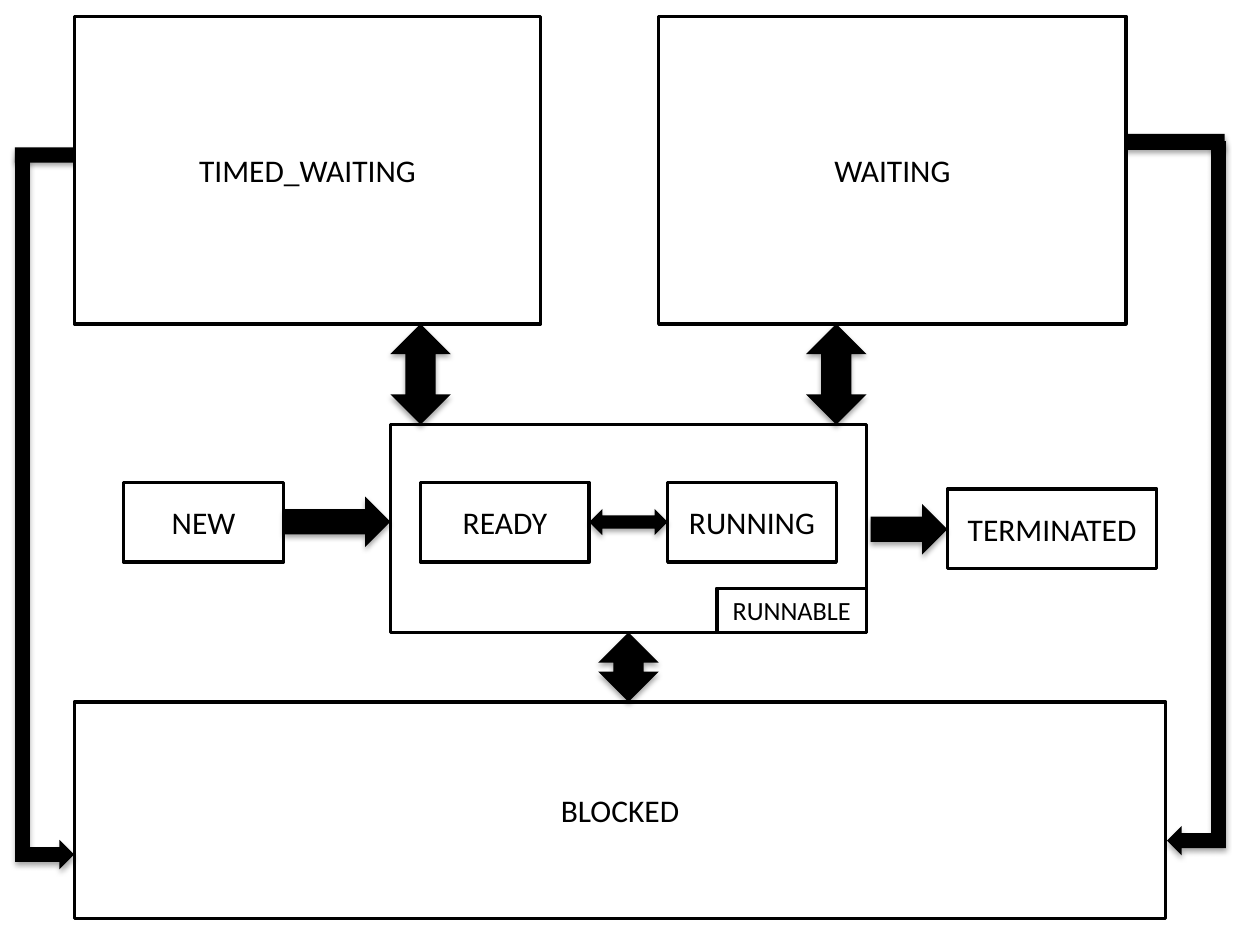
from dataclasses import dataclass

from lxml.etree import SubElement
from pptx import Presentation
from pptx.dml.color import RGBColor
from pptx.enum.shapes import MSO_SHAPE as Preset
from pptx.enum.text import MSO_ANCHOR as Anchor, PP_ALIGN as Align
from pptx.oxml.ns import qn
from pptx.util import Cm, Pt


@dataclass(frozen=True)
class Theme:
    """Colours, font and sizes of the slide."""
    ink: RGBColor = RGBColor(0, 0, 0)
    paper: RGBColor = RGBColor(255, 255, 255)
    font: str = "Calibri"
    state_size: int = 18
    label_size: int = 15
    outline: int = 2


theme = Theme()
presentation = Presentation()
presentation.slide_width, presentation.slide_height = Cm(25.4), Cm(19.05)
slide = presentation.slides.add_slide(presentation.slide_layouts[6])


def add_box(text, left, top, width, height, size=theme.state_size):
    """Add an outlined state box with centred text."""
    shape = slide.shapes.add_shape(
        Preset.RECTANGLE, Cm(left), Cm(top), Cm(width), Cm(height))
    shape.shadow.inherit = False
    shape.fill.solid()
    shape.fill.fore_color.rgb = theme.paper
    shape.line.color.rgb = theme.ink
    shape.line.width = Pt(theme.outline)
    if text:
        frame = shape.text_frame
        frame.text = text
        frame.vertical_anchor = Anchor.MIDDLE
        frame.margin_left = frame.margin_right = 0
        paragraph = frame.paragraphs[0]
        paragraph.alignment = Align.CENTER
        font = paragraph.runs[0].font
        font.name, font.size = theme.font, Pt(size)
        font.color.rgb = theme.ink


def add_arrow(preset, left, top, width, height, rotation=0, flip=False):
    """Add a solid block arrow with a soft shadow below it."""
    shape = slide.shapes.add_shape(
        preset, Cm(left), Cm(top), Cm(width), Cm(height))
    shape.rotation = rotation
    shape.fill.solid()
    shape.fill.fore_color.rgb = theme.ink
    shape.line.fill.background()
    shape.shadow.inherit = False
    properties = shape.element.spPr
    if flip:
        properties.find(qn("a:xfrm")).set("flipH", "1")
    shadow = SubElement(
        properties.find(qn("a:effectLst")), qn("a:outerShdw"),
        blurRad=str(Pt(3.1)), dist=str(Pt(1.8)), dir="5400000",
        rotWithShape="0")
    colour = SubElement(shadow, qn("a:srgbClr"), val=str(theme.ink))
    SubElement(colour, qn("a:alpha"), val="35000")


# Shared edges, in centimetres
margin = 1.5
waiting_top, waiting_height = 0.33, 6.2
waiting_bottom = waiting_top + waiting_height
frame_left, frame_top, frame_width, frame_height = 7.87, 8.56, 9.6, 4.19
frame_right, frame_bottom = frame_left + frame_width, frame_top + frame_height
blocked_top = 14.15
state_top, state_height = 9.73, 1.6
inner_width, inner_inset = 3.4, 0.61
ready_left = frame_left + inner_inset
running_left = frame_right - inner_inset - inner_width
label_width, label_height = 3.02, 0.89
new_left, new_width = 2.49, 3.23
new_right = new_left + new_width
ready_right = ready_left + inner_width
terminated_left = 19.1
double_width = 1.22
bend_length, bend_depth = 14.4, 1.19

# Stubs leaving the waiting states, with heads hidden behind the boxes
add_arrow(Preset.RIGHT_ARROW, 0.3, 2.82, 1.8, 0.61)
add_arrow(Preset.RIGHT_ARROW, 21.97, 2.54, 2.72, 0.64, flip=True)

# States
add_box("TIMED_WAITING", margin, waiting_top, 9.4, waiting_height)
add_box("WAITING", 13.28, waiting_top, 9.42, waiting_height)
add_box("BLOCKED", margin, blocked_top, 22, 4.37)
add_box("", frame_left, frame_top, frame_width, frame_height)
add_box("RUNNABLE", frame_right - label_width, frame_bottom - label_height,
        label_width, label_height, theme.label_size)
add_box("NEW", new_left, state_top, new_width, state_height)
for name, left in (("READY", ready_left), ("RUNNING", running_left)):
    add_box(name, left, state_top, inner_width, state_height)
add_box("TERMINATED", terminated_left, 9.86, 4.22, state_height)

# Transitions along the middle row
add_arrow(Preset.RIGHT_ARROW, new_right, 10.01, frame_left - new_right, 1.02)
add_arrow(Preset.LEFT_RIGHT_ARROW, ready_right, 10.26,
          running_left - ready_right, 0.53)
add_arrow(Preset.RIGHT_ARROW, 17.55, 10.16, terminated_left - 17.55, 1.02)

# Transitions above and below the runnable frame
for left in (frame_left, frame_right - double_width):
    add_arrow(Preset.UP_DOWN_ARROW, left, waiting_bottom,
              double_width, frame_top - waiting_bottom)
add_arrow(Preset.UP_DOWN_ARROW, frame_left + (frame_width - double_width) / 2,
          frame_bottom, double_width, blocked_top - frame_bottom)

# Long bends down to the blocked state
add_arrow(Preset.BENT_UP_ARROW, -6.3, 9.73, bend_length, bend_depth, 90)
add_arrow(Preset.BENT_UP_ARROW, 16.92, 9.45, bend_length, bend_depth, 270, True)

presentation.save("out.pptx")
